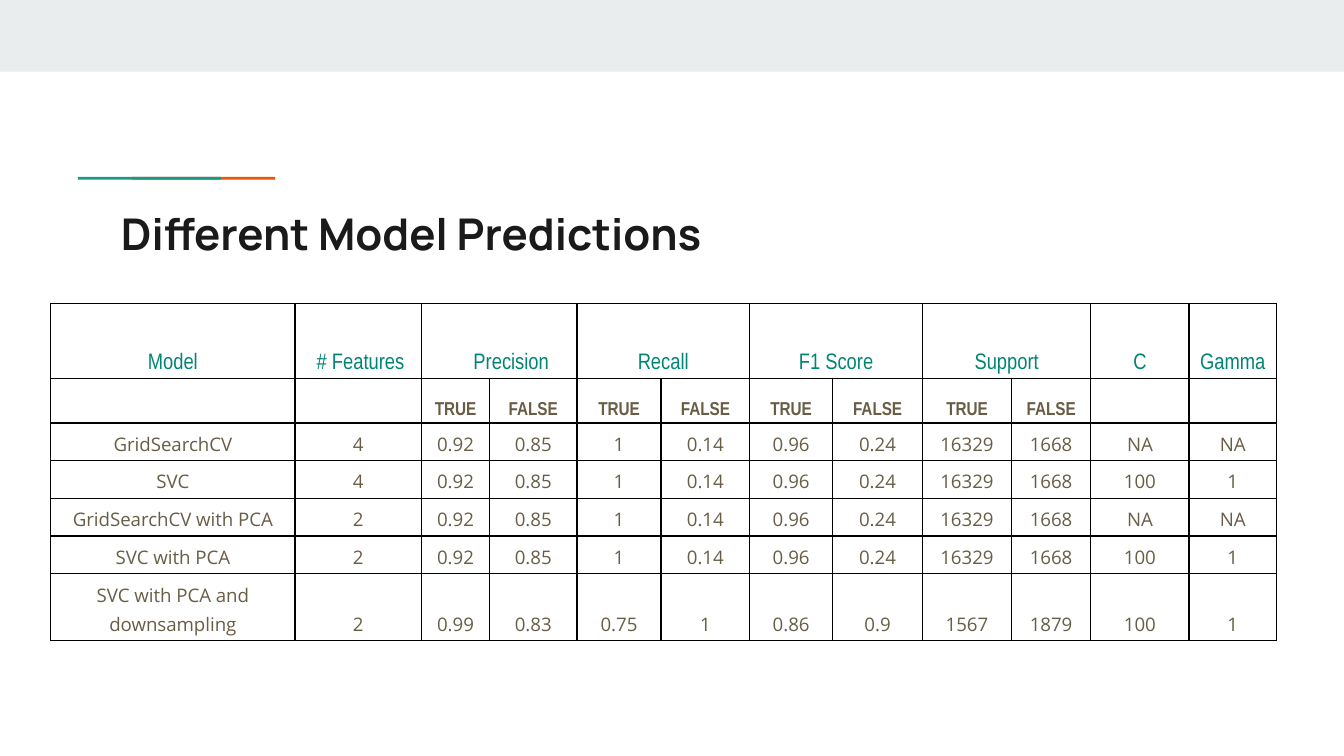
import lxml.etree
import pptx
import pptx.dml.color
import pptx.enum.shapes
import pptx.enum.text
import pptx.oxml.ns
import pptx.util

Pt = pptx.util.Pt
RGBColor = pptx.dml.color.RGBColor
ANCHOR = pptx.enum.text.MSO_ANCHOR
ALIGN = pptx.enum.text.PP_ALIGN
qn = pptx.oxml.ns.qn

PALE_GREY = RGBColor(0xE9, 0xED, 0xEE)
ORANGE = RGBColor(0xEB, 0x56, 0x00)
TEAL = RGBColor(0x1A, 0x99, 0x88)
DARK_TEAL = RGBColor(0x00, 0x85, 0x75)
INK = RGBColor(0x1A, 0x1A, 0x1A)
BROWN = RGBColor(0x69, 0x5D, 0x46)
BLACK = RGBColor(0, 0, 0)

HEADING = {"name": "Arial Narrow", "size": Pt(12), "bold": False}
SUBHEADING = {"name": "Arial Narrow", "size": Pt(10), "bold": True}
BODY = {"name": "Open Sans", "size": Pt(10), "bold": False}

COLUMN_WIDTHS = [131, 67.7, 36.5, 46.8, 45.1, 47.4, 44.5, 48.2, 47.6, 42.6, 52.6, 46.8]
ROW_HEIGHTS = [40.1, 24] + [20.2] * 4 + [35.9]
SHARED_SCORES = ["0.92", "0.85", "1", "0.14", "0.96", "0.24", "16329", "1668"]
ROWS = [
    ["Model", "# Features", "Precision", "", "Recall", "", "F1 Score", "", "Support", "", "C", "Gamma"],
    ["", ""] + ["TRUE", "FALSE"] * 4 + ["", ""],
    ["GridSearchCV", "4", *SHARED_SCORES, "NA", "NA"],
    ["SVC", "4", *SHARED_SCORES, "100", "1"],
    ["GridSearchCV with PCA", "2", *SHARED_SCORES, "NA", "NA"],
    ["SVC with PCA", "2", *SHARED_SCORES, "100", "1"],
    ["SVC with PCA and downsampling", "2", "0.99", "0.83", "0.75", "1", "0.86", "0.9",
     "1567", "1879", "100", "1"],
]
HEADING_INDENTS = {"# Features": 2.5, "Precision": 12.9}


def outline_cell(cell):
    """Draw a thin black line on all four sides of a table cell."""
    properties = cell._tc.get_or_add_tcPr()
    for side in ("a:lnL", "a:lnR", "a:lnT", "a:lnB"):
        line = lxml.etree.SubElement(properties, qn(side), w=str(Pt(0.75)))
        fill = lxml.etree.SubElement(line, qn("a:solidFill"))
        lxml.etree.SubElement(fill, qn("a:srgbClr"), val=str(BLACK))


presentation = pptx.Presentation()
presentation.slide_width = Pt(720)
presentation.slide_height = Pt(405)
slide = presentation.slides.add_slide(presentation.slide_layouts[5])

# Top band, then the accent line: teal overlaps the left part of orange
for left, top, width, height, colour in [
    (0, 0, 720, 38.4, PALE_GREY),
    (70.8, 94.8, 76.6, 1.5, ORANGE),
    (41.8, 94.8, 76.6, 1.5, TEAL),
]:
    bar = slide.shapes.add_shape(
        pptx.enum.shapes.MSO_SHAPE.RECTANGLE, Pt(left), Pt(top), Pt(width), Pt(height))
    bar.shadow.inherit = False
    bar.fill.solid()
    bar.fill.fore_color.rgb = colour
    bar.line.fill.background()

# Title
title = slide.shapes.title
title.left, title.top, title.width, title.height = Pt(57.6), Pt(103.7), Pt(605.5), Pt(42.5)
title_frame = title.text_frame
title_frame.text = "Different Model Predictions"
for attribute, value in {
    "word_wrap": True,
    "auto_size": pptx.enum.text.MSO_AUTO_SIZE.NONE,
    "vertical_anchor": ANCHOR.MIDDLE,
    "margin_left": Pt(7.2), "margin_right": Pt(7.2),
    "margin_top": Pt(7.2), "margin_bottom": Pt(7.2),
}.items():
    setattr(title_frame, attribute, value)
title_line = title_frame.paragraphs[0]
title_line.alignment = ALIGN.LEFT
title_font = title_line.runs[0].font
for attribute, value in {"name": "Manrope", "size": Pt(23.4), "bold": True}.items():
    setattr(title_font, attribute, value)
title_font.color.rgb = INK

# Table of scores
scores = slide.shapes.add_table(
    len(ROWS), len(COLUMN_WIDTHS), Pt(27.1), Pt(162.5),
    Pt(sum(COLUMN_WIDTHS)), Pt(sum(ROW_HEIGHTS))).table
scores.first_row = False
scores.horz_banding = False
for column, width in zip(scores.columns, COLUMN_WIDTHS):
    column.width = Pt(width)
for row, height in zip(scores.rows, ROW_HEIGHTS):
    row.height = Pt(height)
for first in range(2, 10, 2):
    scores.cell(0, first).merge(scores.cell(0, first + 1))

for row_number, row_texts in enumerate(ROWS):
    text_format = {0: HEADING, 1: SUBHEADING}.get(row_number, BODY)
    for column_number, text in enumerate(row_texts):
        cell = scores.cell(row_number, column_number)
        outline_cell(cell)
        cell.fill.background()
        cell.vertical_anchor = ANCHOR.BOTTOM
        for side in ("left", "right", "top", "bottom"):
            setattr(cell, f"margin_{side}", Pt(2.16))
        cell.margin_left = Pt(2.16 + HEADING_INDENTS.get(text, 0))

        paragraph = cell.text_frame.paragraphs[0]
        paragraph.alignment = ALIGN.CENTER
        if not text:
            lxml.etree.SubElement(paragraph._p, qn("a:endParaRPr"), sz="1000")
            continue
        if row_number == 0:
            paragraph.space_before = Pt(16)
        else:
            paragraph.line_spacing = 1.15
        run = paragraph.add_run()
        run.text = text
        for attribute, value in text_format.items():
            setattr(run.font, attribute, value)
        run.font.color.rgb = DARK_TEAL if row_number == 0 else BROWN

presentation.save("out.pptx")
